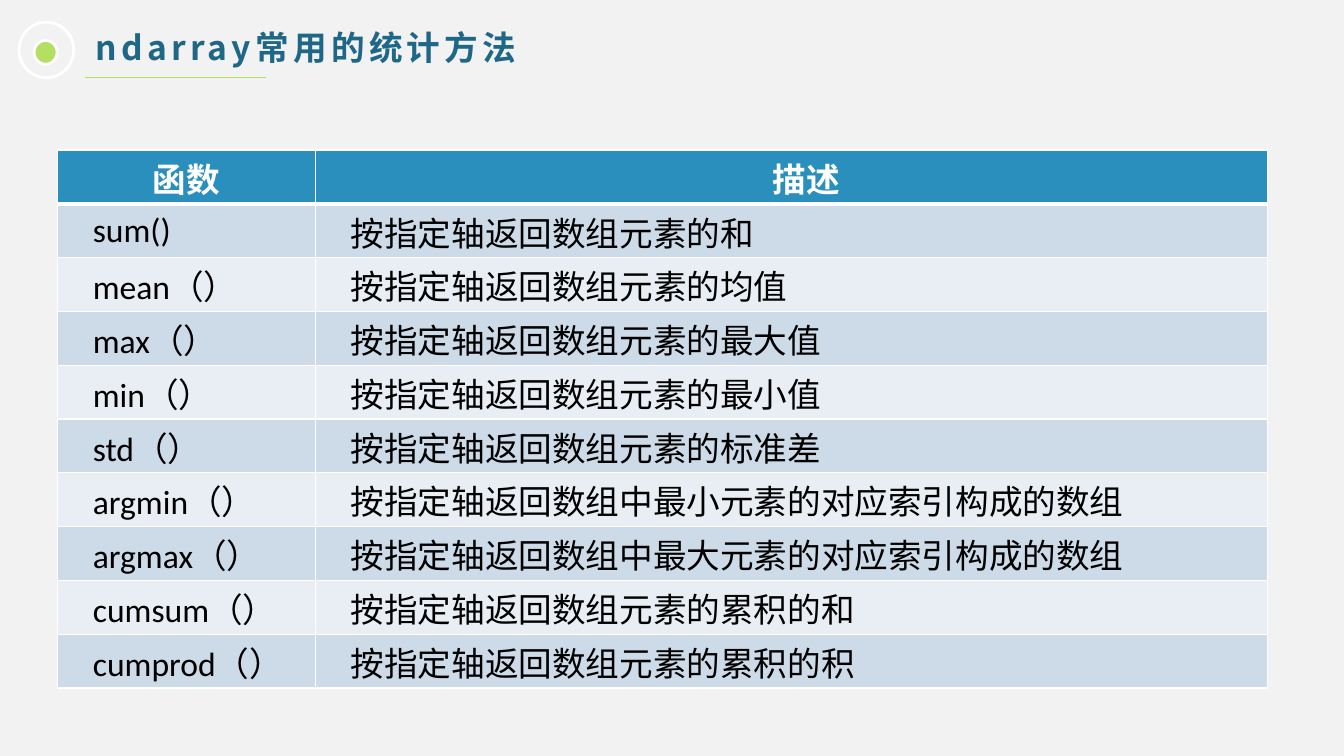
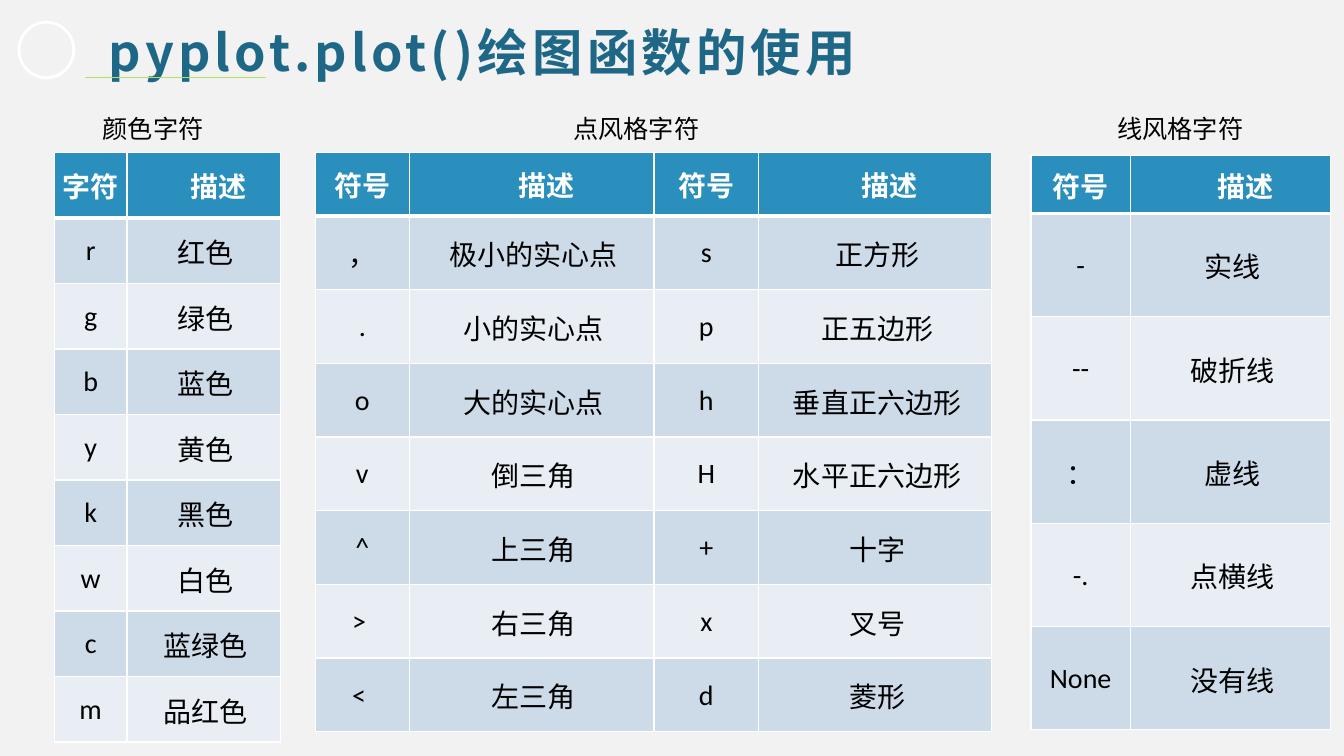
from lxml import etree
from pptx import Presentation
from pptx.dml.color import RGBColor
from pptx.enum.shapes import MSO_CONNECTOR, MSO_SHAPE
from pptx.enum.text import MSO_ANCHOR, MSO_AUTO_SIZE, PP_ALIGN
from pptx.oxml.ns import qn
from pptx.util import Cm, Pt

LEFT, CENTER = PP_ALIGN.LEFT, PP_ALIGN.CENTER
TOP, MIDDLE = MSO_ANCHOR.TOP, MSO_ANCHOR.MIDDLE
NO_AUTOFIT = MSO_AUTO_SIZE.NONE
ELLIPSE, STRAIGHT = MSO_SHAPE.OVAL, MSO_CONNECTOR.STRAIGHT
TITLE_ONLY = 5

PAPER, WHITE, BLACK = "F2F2F2", "FFFFFF", "000000"
NAVY, BLUE, GREEN = "1E6787", "2A8FBD", "B3DF63"
BANDS = ("CDDBE8", "E8EEF4")
LATIN, CJK = "Calibri", "Noto Sans CJK SC"
WIDE_INDENT, SMALL_INDENT = 0.74, 0.1

METHODS = [
    ("函数", "描述"),
    ("sum()", "按指定轴返回数组元素的和"),
    ("mean（）", "按指定轴返回数组元素的均值"),
    ("max（）", "按指定轴返回数组元素的最大值"),
    ("min（）", "按指定轴返回数组元素的最小值"),
    ("std（）", "按指定轴返回数组元素的标准差"),
    ("argmin（）", "按指定轴返回数组中最小元素的对应索引构成的数组"),
    ("argmax（）", "按指定轴返回数组中最大元素的对应索引构成的数组"),
    ("cumsum（）", "按指定轴返回数组元素的累积的和"),
    ("cumprod（）", "按指定轴返回数组元素的累积的积"),
]
COLORS = [
    ("字符", "描述"), ("r", "红色"), ("g", "绿色"), ("b", "蓝色"), ("y", "黄色"),
    ("k", "黑色"), ("w", "白色"), ("c", "蓝绿色"), ("m", "品红色"),
]
MARKERS = [
    ("符号", "描述", "符号", "描述"),
    ("，", "极小的实心点", "s", "正方形"),
    (".", "小的实心点", "p", "正五边形"),
    ("o", "大的实心点", "h", "垂直正六边形"),
    ("v", "倒三角", "H", "水平正六边形"),
    ("^", "上三角", "+", "十字"),
    ("> ", "右三角", "x", "叉号"),
    ("< ", "左三角", "d", "菱形"),
]
LINES = [
    ("符号", "描述"), ("-", "实线"), ("--", "破折线"),
    ("：", "虚线"), ("-.", "点横线"), ("None", "没有线"),
]

SLIDES = [
    {
        "title": ("ndarray常用的统计方法", 24, (2.16, 0.56, 19.74, 1.27)),
        "dot": True,
        "captions": [],
        "tables": [dict(rows=METHODS, left=1.45, top=3.78, widths=(6.5, 24), height=13.56,
                        header=1.36, size=24, align=LEFT, indents=(WIDE_INDENT, WIDE_INDENT))],
    },
    {
        "title": ("pyplot.plot()绘图函数的使用", 36, (2.49, 0.41, 19.94, 1.8)),
        "dot": False,
        "captions": [("颜色字符", 2.34, 3.2), ("点风格字符", 14.2, 4.11), ("线风格字符", 27.91, 4.29)],
        "tables": [
            dict(rows=COLORS, left=1.37, top=3.84, widths=(1.83, 3.86), height=14.86, header=1.65),
            dict(rows=MARKERS, left=7.95, top=3.84, widths=(2.36, 6.17, 2.64, 5.87),
                 height=14.6, header=1.6),
            dict(rows=LINES, left=25.98, top=3.91, widths=(2.51, 5.05), height=14.48, header=1.47),
        ],
    },
]


def rgb(color):
    return RGBColor.from_string(color)


def write(tf, text, size=18, color=BLACK, bold=False, latin=LATIN, align=LEFT, indent=0, spacing=0):
    p = tf.paragraphs[0]
    p.alignment = align
    pPr = p._p.get_or_add_pPr()
    pPr.set("marL", "0")
    pPr.set("indent", str(int(Cm(indent))))
    r = p.add_run()
    r.text = text
    r.font.size = Pt(size)
    r.font.bold = bold
    r.font.name = latin
    r.font.color.rgb = rgb(color)
    rPr = r._r.get_or_add_rPr()
    etree.SubElement(rPr, qn("a:ea")).set("typeface", CJK)
    if spacing:
        rPr.set("spc", str(spacing * 100))


def add_ring(s, left, top, width, height, fill=None):
    sp = s.shapes.add_shape(ELLIPSE, Cm(left), Cm(top), Cm(width), Cm(height))
    sp.shadow.inherit = False
    if fill:
        sp.fill.solid()
        sp.fill.fore_color.rgb = rgb(fill)
    else:
        sp.fill.background()
    sp.line.color.rgb = rgb(WHITE)
    sp.line.width = Pt(2)


def add_heading(s, text, size, box, dot):
    sp = s.shapes.title
    sp.left, sp.top, sp.width, sp.height = map(Cm, box)
    tf = sp.text_frame
    tf.word_wrap = True
    tf.auto_size = NO_AUTOFIT
    tf.vertical_anchor = TOP
    write(tf, text, size=size, color=NAVY, bold=True, latin=CJK, spacing=3)
    if dot:
        add_ring(s, 0.86, 1.02, 0.58, 0.6, GREEN)
    add_ring(s, 0.48, 0.56, 1.38, 1.4)
    rule = s.shapes.add_connector(STRAIGHT, Cm(2.15), Cm(1.96), Cm(6.7), Cm(1.96))
    rule.line.color.rgb = rgb(GREEN)
    rule.line.width = Pt(0.75)
    etree.SubElement(rule._element.spPr, qn("a:effectLst"))


def add_caption(s, text, left, width):
    tf = s.shapes.add_textbox(Cm(left), Cm(2.72), Cm(width), Cm(1.02)).text_frame
    tf.word_wrap = True
    write(tf, text)


def set_borders(cell, row):
    tcPr = cell._tc.get_or_add_tcPr()
    widths = {"L": 1, "R": 1, "T": 3 if row == 1 else 1, "B": 3 if row == 0 else 1}
    for side, width in widths.items():
        ln = etree.SubElement(tcPr, qn(f"a:ln{side}"), w=str(int(Pt(width))))
        fill = etree.SubElement(ln, qn("a:solidFill"))
        etree.SubElement(fill, qn("a:srgbClr"), val=WHITE)


def add_grid(s, rows, left, top, widths, height, header, size=20, align=CENTER,
             indents=(0, SMALL_INDENT)):
    frame = s.shapes.add_table(len(rows), len(widths), Cm(left), Cm(top),
                               Cm(sum(widths)), Cm(height))
    table = frame.table
    table.first_row = table.horz_banding = False
    for column, width in zip(table.columns, widths):
        column.width = Cm(width)
    body_height = (height - header) / (len(rows) - 1)
    for i, values in enumerate(rows):
        table.rows[i].height = Cm(body_height if i else header)
        for j, text in enumerate(values):
            cell = table.cell(i, j)
            cell.margin_left = cell.margin_right = Cm(0.15)
            cell.margin_top, cell.margin_bottom = Cm(0.03), Cm(0)
            cell.vertical_anchor = MIDDLE
            set_borders(cell, i)
            cell.fill.solid()
            cell.fill.fore_color.rgb = rgb(BANDS[(i - 1) % 2] if i else BLUE)
            if i:
                write(cell.text_frame, text, size=size, align=align, indent=indents[j % 2])
            else:
                write(cell.text_frame, text, size=size, color=WHITE, bold=True, align=CENTER,
                      indent=WIDE_INDENT * (j % 2))


def main():
    prs = Presentation()
    prs.slide_width, prs.slide_height = Cm(33.87), Cm(19.05)
    background = prs.slide_master.background.fill
    background.solid()
    background.fore_color.rgb = rgb(PAPER)
    for content in SLIDES:
        s = prs.slides.add_slide(prs.slide_layouts[TITLE_ONLY])
        add_heading(s, *content["title"], content["dot"])
        for grid in content["tables"]:
            add_grid(s, **grid)
        for caption in content["captions"]:
            add_caption(s, *caption)
    prs.save("out.pptx")


if __name__ == "__main__":
    main()
